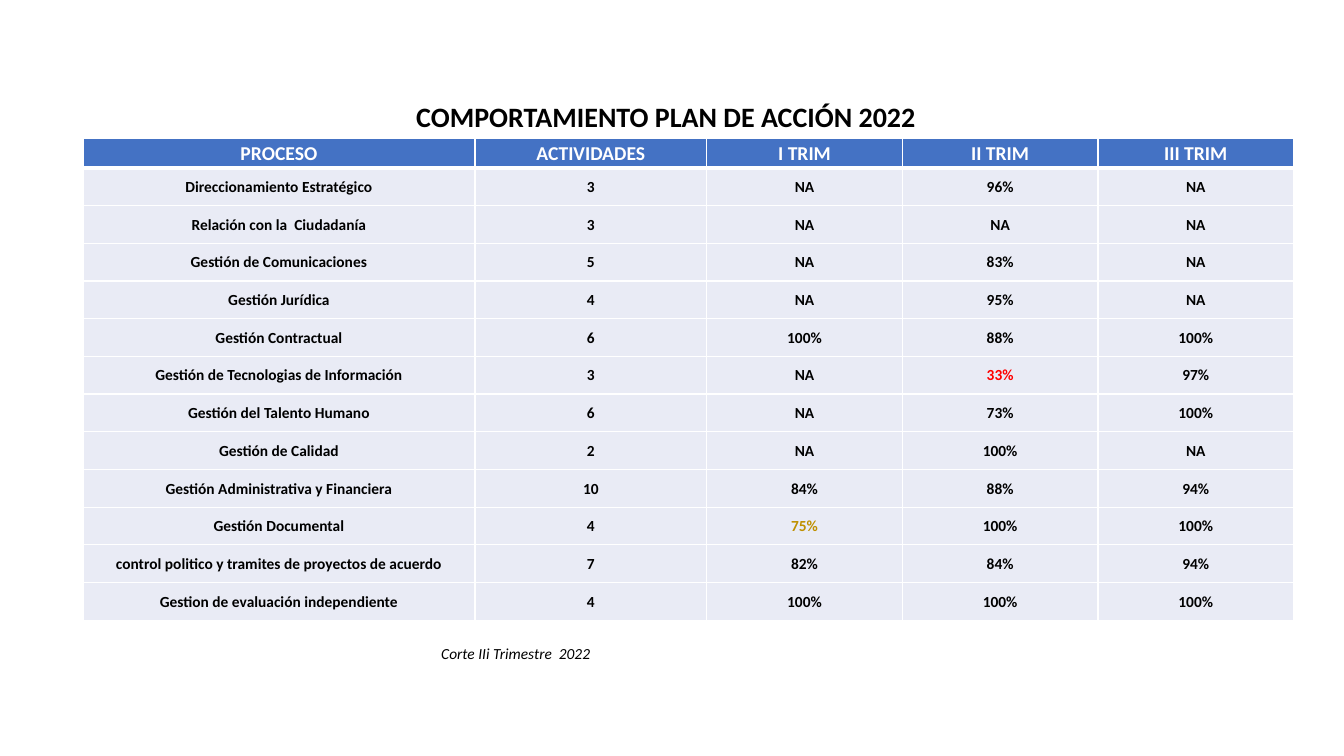
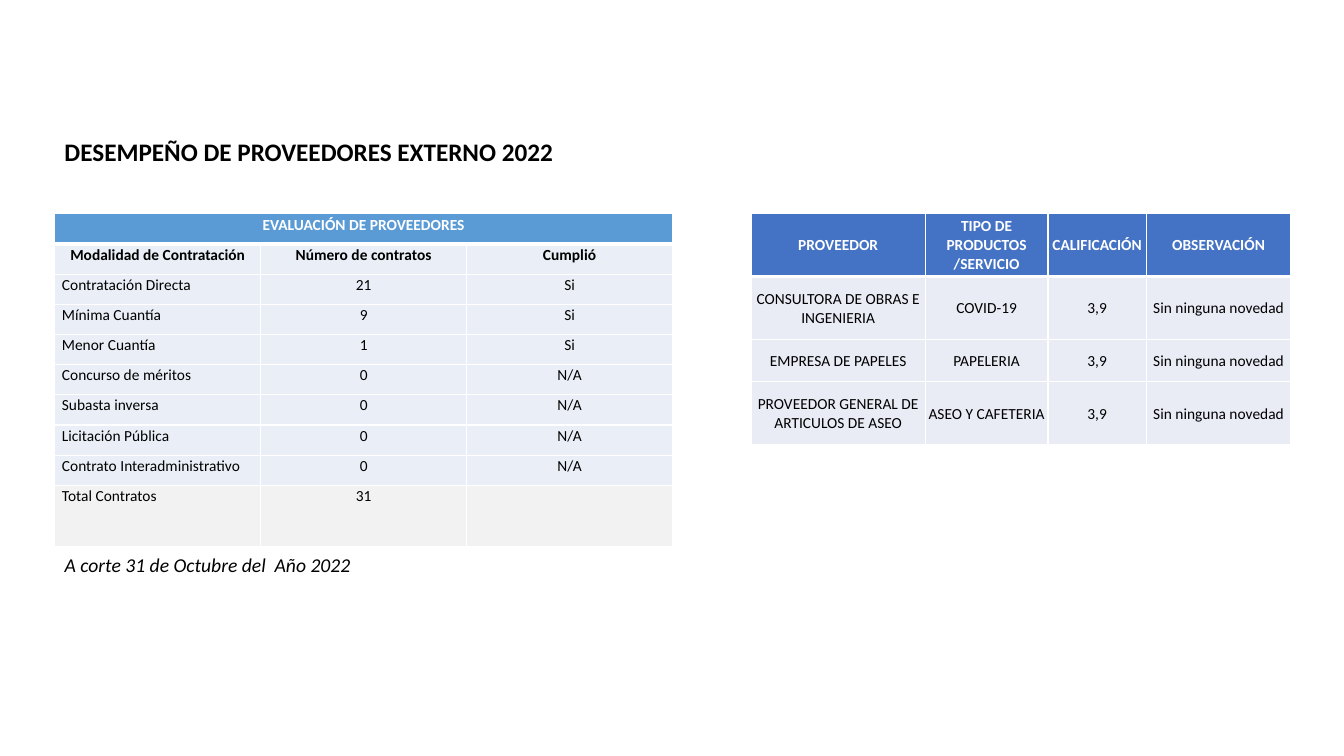
from lxml.etree import SubElement
from pptx import Presentation
from pptx.dml.color import RGBColor
from pptx.enum.text import MSO_ANCHOR, MSO_AUTO_SIZE, PP_ALIGN
from pptx.oxml.ns import qn
from pptx.util import Cm, Pt

FONT = "Calibri"
BLACK, WHITE = "000000", "FFFFFF"
RED, GOLD = "FF0000", "BF9000"
BLUE, SKY = "4472C4", "5B9BD5"
LAVENDER, ICE, GREY = "E9EBF5", "EAEFF7", "F2F2F2"
hex_color = RGBColor.from_string


def add_text(slide, text, left, top, width, height, size,
             bold=False, italic=False, align=PP_ALIGN.LEFT):
    box = slide.shapes.add_textbox(Cm(left), Cm(top), Cm(width), Cm(height))
    frame = box.text_frame
    frame.word_wrap = True
    frame.auto_size = MSO_AUTO_SIZE.SHAPE_TO_FIT_TEXT
    frame.text = text
    para = frame.paragraphs[0]
    para.alignment = align
    font = para.runs[0].font
    font.name, font.size, font.bold, font.italic = FONT, Pt(size), bold, italic
    font.color.rgb = hex_color(BLACK)


def add_grid(slide, left, top, widths, heights, rows, head_fill, body_fill,
             head_size=11, body_bold=False):
    """Add a table with white borders, a thick rule under its header and centred text."""
    frame = slide.shapes.add_table(len(rows), len(widths), Cm(left), Cm(top),
                                   Cm(sum(widths)), Cm(sum(heights)))
    table = frame.table
    for column, width in zip(table.columns, widths):
        column.width = Cm(width)
    for row_index, (height, texts) in enumerate(zip(heights, rows)):
        table.rows[row_index].height = Cm(height)
        is_head = row_index == 0
        for column_index, text in enumerate(texts):
            cell = table.cell(row_index, column_index)
            cell.text = text
            cell.vertical_anchor = MSO_ANCHOR.MIDDLE
            cell.margin_left = cell.margin_right = cell.margin_top = Cm(0.02)
            cell.margin_bottom = Cm(0)
            properties = cell._tc.get_or_add_tcPr()
            for side in ("lnL", "lnR", "lnT", "lnB"):
                under_head = (row_index, side) in ((0, "lnB"), (1, "lnT"))
                line = SubElement(properties, qn(f"a:{side}"),
                                  w=str(Pt(3 if under_head else 1)))
                SubElement(SubElement(line, qn("a:solidFill")),
                           qn("a:srgbClr"), val=WHITE)
            cell.fill.solid()
            cell.fill.fore_color.rgb = hex_color(head_fill if is_head else body_fill)
            para = cell.text_frame.paragraphs[0]
            para.alignment = PP_ALIGN.CENTER
            for span in para.runs:
                span.font.name = FONT
                span.font.size = Pt(head_size if is_head else 11)
                span.font.bold = is_head or body_bold
                span.font.color.rgb = hex_color(WHITE if is_head else BLACK)
    return table


deck = Presentation()
deck.slide_width, deck.slide_height = Cm(33.87), Cm(19.05)
blank = deck.slide_layouts[6]

# Action plan
plan_page = deck.slides.add_slide(blank)
add_text(plan_page, "COMPORTAMIENTO PLAN DE ACCIÓN 2022",
         10.24, 2.39, 15.62, 1.11, 20, bold=True)
add_text(plan_page, "Corte IIi Trimestre  2022",
         10.87, 16.1, 9.5, 0.73, 11, italic=True)
plan_rows = [
    ("PROCESO", "ACTIVIDADES", "I TRIM", "II TRIM", "III TRIM"),
    ("Direccionamiento Estratégico", "3", "NA", "96%", "NA"),
    ("Relación con la  Ciudadanía", "3", "NA", "NA", "NA"),
    ("Gestión de Comunicaciones", "5", "NA", "83%", "NA"),
    ("Gestión Jurídica", "4", "NA", "95%", "NA"),
    ("Gestión Contractual", "6", "100%", "88%", "100%"),
    ("Gestión de Tecnologias de Información", "3", "NA", "33%", "97%"),
    ("Gestión del Talento Humano", "6", "NA", "73%", "100%"),
    ("Gestión de Calidad", "2", "NA", "100%", "NA"),
    ("Gestión Administrativa y Financiera", "10", "84%", "88%", "94%"),
    ("Gestión Documental", "4", "75%", "100%", "100%"),
    ("control politico y tramites de proyectos de acuerdo", "7", "82%", "84%", "94%"),
    ("Gestion de evaluación independiente", "4", "100%", "100%", "100%"),
]
plan_table = add_grid(plan_page, 2.09, 3.49, [9.88, 5.84] + [4.93] * 3,
                      [0.74] + [0.95] * 12, plan_rows, BLUE, LAVENDER,
                      head_size=14, body_bold=True)
for row_index, column_index, color in ((6, 3, RED), (10, 2, GOLD)):
    para = plan_table.cell(row_index, column_index).text_frame.paragraphs[0]
    para.runs[0].font.color.rgb = hex_color(color)

# Supplier performance
supplier_page = deck.slides.add_slide(blank)
add_text(supplier_page, "DESEMPEÑO DE PROVEEDORES EXTERNO 2022",
         0, 3.3, 15.57, 1.02, 18, bold=True, align=PP_ALIGN.CENTER)
contract_rows = [
    ("EVALUACIÓN DE PROVEEDORES", "", ""),
    ("Modalidad de Contratación", "Número de contratos", "Cumplió"),
    ("Contratación Directa", "21", "Si"),
    ("Mínima Cuantía", "9", "Si"),
    ("Menor Cuantía", "1", "Si"),
    ("Concurso de méritos", "0", "N/A"),
    ("Subasta inversa", "0", "N/A"),
    ("Licitación Pública", "0", "N/A"),
    ("Contrato Interadministrativo", "0", "N/A"),
    ("Total Contratos", "31", ""),
]
contract_table = add_grid(supplier_page, 1.38, 5.39, [5.19] * 3,
                          [0.76] * 9 + [1.54], contract_rows, SKY, ICE)
contract_table.cell(0, 0).merge(contract_table.cell(0, 2))
total_index = len(contract_rows) - 1
for row_index in range(len(contract_rows)):
    for column_index in range(3):
        cell = contract_table.cell(row_index, column_index)
        cell.vertical_anchor = MSO_ANCHOR.TOP
        cell.margin_left = cell.margin_right = Cm(0.18)
        cell.margin_top = Cm(0)
        para = cell.text_frame.paragraphs[0]
        para.line_spacing, para.space_after = 1.07, Pt(8)
        if row_index == 1:
            para.runs[0].font.bold = True
        elif row_index > 1 and column_index == 0:
            para.alignment = PP_ALIGN.LEFT
        if row_index == total_index:
            cell.fill.fore_color.rgb = hex_color(GREY)
add_text(supplier_page, "A corte 31 de Octubre del  Año 2022",
         1.38, 13.82, 16.92, 0.86, 14, italic=True)

rating_rows = [
    ("PROVEEDOR", "TIPO DE PRODUCTOS /SERVICIO", "CALIFICACIÓN", "OBSERVACIÓN"),
    ("CONSULTORA DE OBRAS E INGENIERIA", "COVID-19", "3,9", "Sin ninguna novedad"),
    ("EMPRESA DE PAPELES", "PAPELERIA", "3,9", "Sin ninguna novedad"),
    ("PROVEEDOR GENERAL DE ARTICULOS DE ASEO", "ASEO Y CAFETERIA", "3,9",
     "Sin ninguna novedad"),
]
add_grid(supplier_page, 18.93, 5.39, [4.39, 3.09, 2.48, 3.64],
         [1.58, 1.59, 1.06, 1.59], rating_rows, BLUE, LAVENDER)

deck.save("out.pptx")
